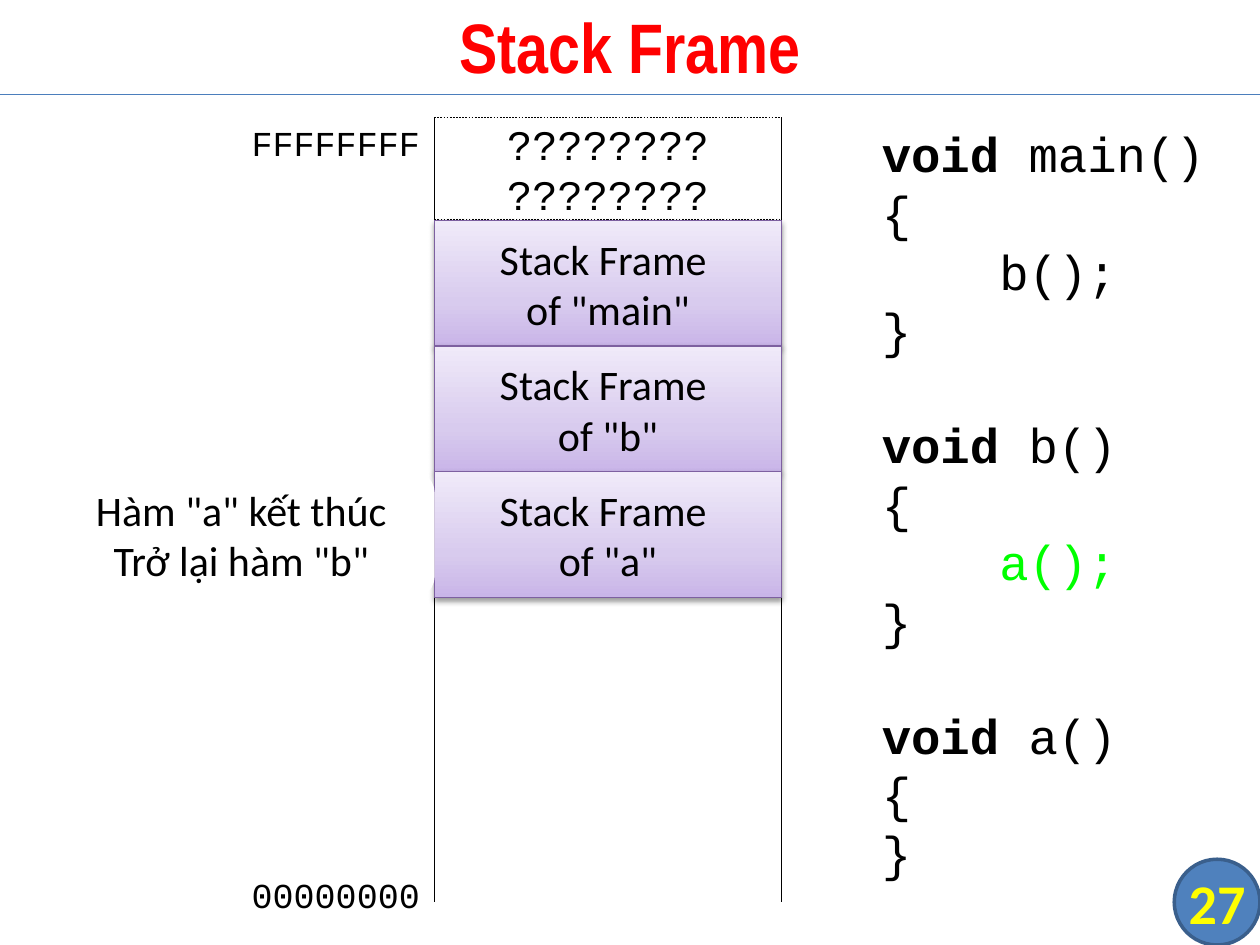
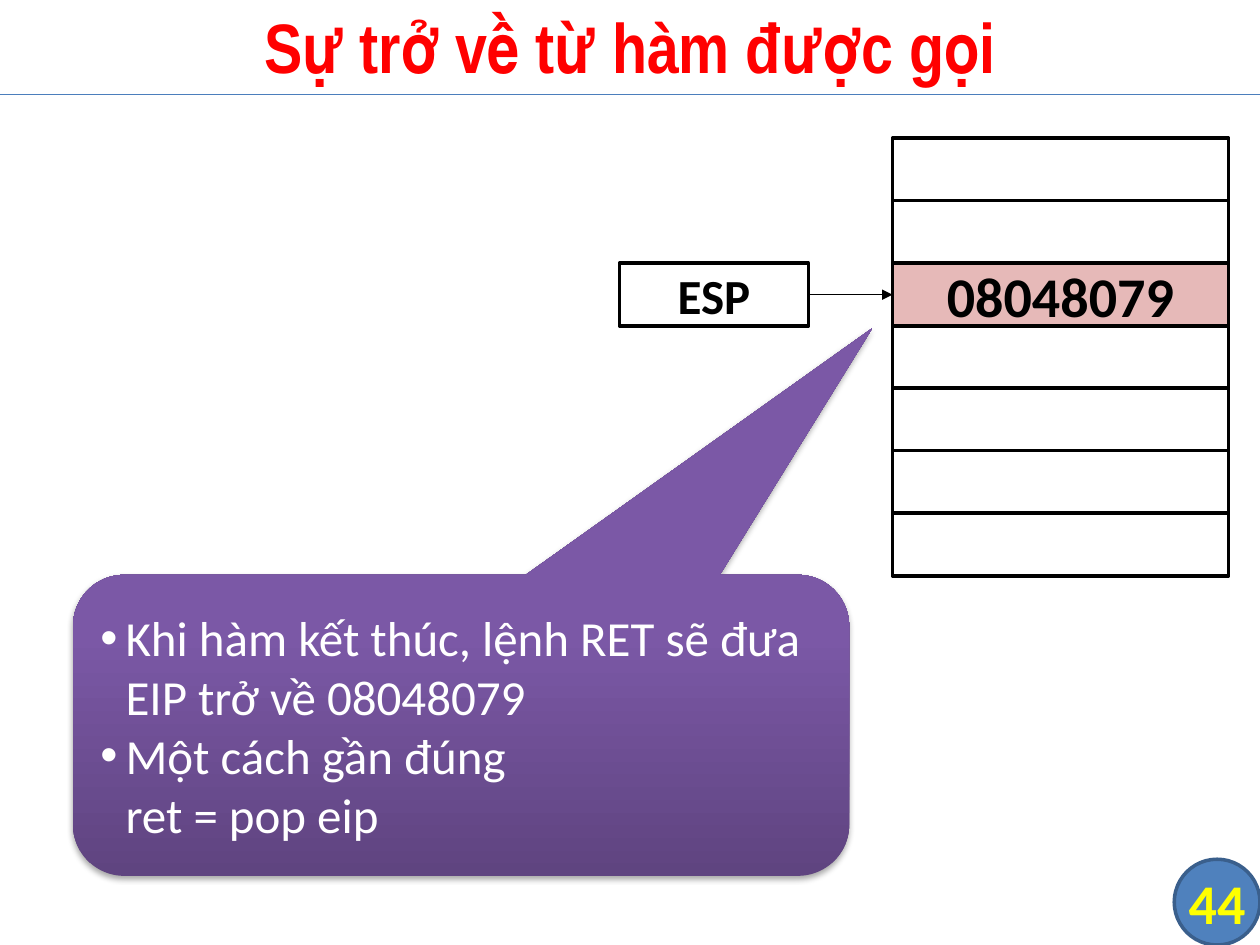
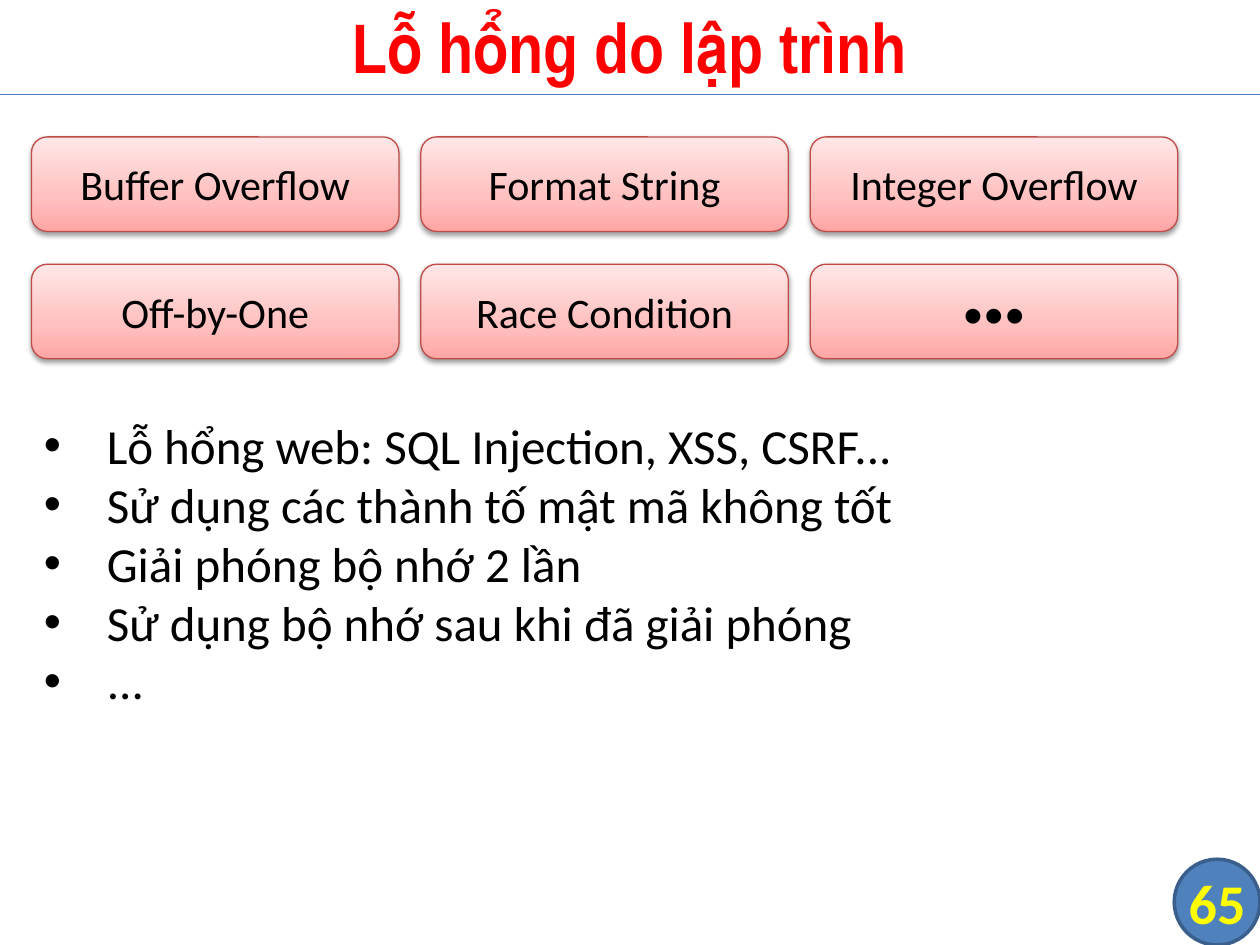
"""Build three slides on stack frames, function return and programming flaws."""

from dataclasses import dataclass
from typing import Any, Optional

import lxml.etree
import pptx
import pptx.dml.color
import pptx.enum.dml
import pptx.enum.shapes
import pptx.enum.text
import pptx.oxml.ns
import pptx.util

Pt = pptx.util.Pt
RGBColor = pptx.dml.color.RGBColor
SHAPE = pptx.enum.shapes.MSO_SHAPE
ALIGN = pptx.enum.text.PP_ALIGN
ANCHOR = pptx.enum.text.MSO_ANCHOR
qn = pptx.oxml.ns.qn

BLACK = RGBColor(0x00, 0x00, 0x00)
WHITE = RGBColor(0xFF, 0xFF, 0xFF)
RED = RGBColor(0xFF, 0x00, 0x00)
YELLOW = RGBColor(0xFF, 0xFF, 0x00)
GREEN = RGBColor(0x00, 0xFF, 0x00)
BADGE_FILL = RGBColor(0x4F, 0x81, 0xBD)
BADGE_LINE = RGBColor(0x3A, 0x5F, 0x8C)
RULE_BLUE = RGBColor(0x4B, 0x7E, 0xBC)
ROSE = RGBColor(0xE6, 0xB9, 0xB8)
FRAME_LINE = RGBColor(0x7D, 0x60, 0xA0)
FLAW_LINE = RGBColor(0xBF, 0x4C, 0x48)

Gradient = tuple[tuple[int, RGBColor], ...]
FRAME_GRADIENT: Gradient = (
    (0, RGBColor(0xC9, 0xB5, 0xE8)),
    (35, RGBColor(0xD8, 0xCB, 0xEE)),
    (100, RGBColor(0xF0, 0xEA, 0xF9)),
)
CALLOUT_GRADIENT: Gradient = (
    (0, RGBColor(0x5F, 0x44, 0x80)),
    (80, RGBColor(0x7B, 0x58, 0xA6)),
    (100, RGBColor(0x7C, 0x57, 0xA8)),
)
FLAW_GRADIENT: Gradient = (
    (0, RGBColor(0xFF, 0xA6, 0xA5)),
    (35, RGBColor(0xFF, 0xC0, 0xBF)),
    (100, RGBColor(0xFF, 0xE7, 0xE7)),
)

SLIDE_WIDTH, SLIDE_HEIGHT = 720, 540
RULE_TOP = 54
BADGE_BOX = (671, 491, 49, 49)


@dataclass(frozen=True)
class TextStyle:
    """Font and paragraph settings of one kind of text."""

    size: float
    name: str = "Calibri"
    color: RGBColor = BLACK
    bold: bool = False
    align: Any = ALIGN.CENTER
    bullet_indent: float = 0


@dataclass(frozen=True)
class Look:
    """Surface of a shape."""

    fill: Optional[RGBColor] = None
    gradient: Optional[Gradient] = None
    line: Optional[RGBColor] = None
    line_width: float = 0.75
    dashed: bool = False
    shadow: Optional[tuple[int, float]] = None


@dataclass(frozen=True)
class Box:
    """A placed shape, or a text box when no kind is given."""

    left: float
    top: float
    width: float
    height: float
    kind: Any = None
    look: Look = Look()
    lines: tuple[str, ...] = ()
    style: TextStyle = TextStyle(24)


@dataclass(frozen=True)
class CodeLine:
    """One line of the program listing."""

    text: str
    keyword: str = ""
    color: RGBColor = BLACK
    indent: float = 0
    space_before: float = 0


TITLE = TextStyle(40, "Arial Narrow", RED, True)
PAGE_NUMBER = TextStyle(32, color=YELLOW, bold=True)
LABEL = TextStyle(24)
CODE = TextStyle(28, "Courier New", align=ALIGN.LEFT)
MEMORY = TextStyle(24, "Courier New")
ADDRESS = TextStyle(20, "Courier New", align=ALIGN.RIGHT)
CELL_VALUE = TextStyle(32, bold=True)
REGISTER = TextStyle(28, bold=True)
CALLOUT_TEXT = TextStyle(28, color=WHITE, align=ALIGN.LEFT, bullet_indent=14.4)
BULLETS = TextStyle(28, align=ALIGN.LEFT, bullet_indent=36)

BADGE = Look(fill=BADGE_FILL, line=BADGE_LINE, line_width=2)
PLAIN = Look(fill=WHITE)
UNKNOWN = Look(fill=WHITE, line=BLACK, line_width=0.25, dashed=True)
CELL = Look(fill=WHITE, line=BLACK, line_width=2)
RETURN_CELL = Look(fill=ROSE, line=BLACK, line_width=2)
FRAME = Look(gradient=FRAME_GRADIENT, line=FRAME_LINE, shadow=(38, 1.6))
CALLOUT = Look(gradient=CALLOUT_GRADIENT, shadow=(35, 1.8))
FLAW = Look(gradient=FLAW_GRADIENT, line=FLAW_LINE, shadow=(38, 1.6))

CODE_INDENT = 67.2
CODE_GAP = 31.7
PROGRAM = (
    CodeLine(" main()", "void"),
    CodeLine("{"),
    CodeLine("b();", indent=CODE_INDENT),
    CodeLine("}"),
    CodeLine(" b()", "void", space_before=CODE_GAP),
    CodeLine("{"),
    CodeLine("a();", color=GREEN, indent=CODE_INDENT),
    CodeLine("}"),
    CodeLine(" a()", "void", space_before=CODE_GAP),
    CodeLine("{"),
    CodeLine("}"),
)


def set_values(target: Any, values: dict[str, Any]) -> None:
    """Set each named attribute of the target."""
    for name, value in values.items():
        setattr(target, name, value)


def add_node(parent: Any, tag: str, **attributes: Any) -> Any:
    """Append a drawing element to the parent."""
    texts = {name: str(value) for name, value in attributes.items()}
    return lxml.etree.SubElement(parent, qn(tag), texts)


def format_run(run: Any, style: TextStyle, color: RGBColor, bold: bool) -> None:
    """Give a run its font."""
    set_values(run.font, {"size": Pt(style.size), "name": style.name, "bold": bold})
    run.font.color.rgb = color


def set_indent(paragraph: Any, left: float, hanging: float = 0) -> None:
    """Set the left margin and hanging indent of a paragraph."""
    properties = paragraph._p.get_or_add_pPr()
    properties.set("marL", str(Pt(left)))
    properties.set("indent", str(-Pt(hanging)))


def add_paragraphs(frame: Any, count: int) -> list[Any]:
    """Return the given number of paragraphs of an empty text frame."""
    return [frame.paragraphs[0]] + [frame.add_paragraph() for _ in range(count - 1)]


def write_lines(frame: Any, lines: tuple[str, ...], style: TextStyle) -> None:
    """Write one paragraph for each line of text."""
    for paragraph, line in zip(add_paragraphs(frame, len(lines)), lines):
        set_values(paragraph, {"text": line, "alignment": style.align})
        for run in paragraph.runs:
            format_run(run, style, style.color, style.bold)
        if style.bullet_indent:
            set_indent(paragraph, style.bullet_indent, style.bullet_indent)
            properties = paragraph._p.get_or_add_pPr()
            add_node(properties, "a:buFont", typeface="Arial")
            add_node(properties, "a:buChar", char="•")


def paint_gradient(shape: Any, gradient: Gradient) -> None:
    """Fill a shape with a gradient that runs from bottom to top."""
    shape.fill.gradient()
    shape.fill.gradient_angle = 90
    stops = shape.element.spPr.find(f".//{qn('a:gsLst')}")
    for stop in list(stops):
        stops.remove(stop)
    for position, color in gradient:
        stop = add_node(stops, "a:gs", pos=position * 1000)
        add_node(stop, "a:srgbClr", val=color)


def paint(shape: Any, look: Look) -> None:
    """Apply fill, line and shadow to a shape."""
    shape.shadow.inherit = False
    if look.gradient:
        paint_gradient(shape, look.gradient)
    elif look.fill is not None:
        shape.fill.solid()
        shape.fill.fore_color.rgb = look.fill
    if look.line is None:
        shape.line.fill.background()
    else:
        shape.line.color.rgb = look.line
        shape.line.width = Pt(look.line_width)
    if look.dashed:
        shape.line.dash_style = pptx.enum.dml.MSO_LINE.DASH
    if look.shadow:
        opacity, distance = look.shadow
        effects = shape.element.spPr.find(qn("a:effectLst"))
        shadow = add_node(effects, "a:outerShdw", blurRad=Pt(3.1), dist=Pt(distance),
                          dir=5400000, rotWithShape=0)
        color = add_node(shadow, "a:srgbClr", val=BLACK)
        add_node(color, "a:alpha", val=opacity * 1000)


def draw_box(slide: Any, box: Box) -> Any:
    """Draw a shape or text box with its text."""
    place = [Pt(length) for length in (box.left, box.top, box.width, box.height)]
    if box.kind is None:
        shape = slide.shapes.add_textbox(*place)
    else:
        shape = slide.shapes.add_shape(box.kind, *place)
        paint(shape, box.look)
    set_values(shape.text_frame, {"word_wrap": True, "vertical_anchor": ANCHOR.MIDDLE})
    if box.lines:
        write_lines(shape.text_frame, box.lines, box.style)
    return shape


def draw_line(slide: Any, start: tuple[float, float], end: tuple[float, float],
              color: RGBColor = BLACK, arrow: bool = False) -> None:
    """Draw a thin straight line, with an arrowhead if asked."""
    ends = [Pt(length) for length in (*start, *end)]
    connector = slide.shapes.add_connector(pptx.enum.shapes.MSO_CONNECTOR.STRAIGHT, *ends)
    connector.line.color.rgb = color
    connector.line.width = Pt(0.75)
    if arrow:
        add_node(connector.line._get_or_add_ln(), "a:tailEnd", type="triangle")
    add_node(connector.element.spPr, "a:effectLst")


def add_slide(presentation: Any, title: str, number: int) -> Any:
    """Add a slide with the shared title, rule and page badge."""
    slide = presentation.slides.add_slide(presentation.slide_layouts[6])
    draw_box(slide, Box(*BADGE_BOX, SHAPE.FLOWCHART_CONNECTOR, BADGE))
    draw_line(slide, (0, RULE_TOP), (SLIDE_WIDTH, RULE_TOP), RULE_BLUE)
    draw_box(slide, Box(0, -2, SLIDE_WIDTH, 56, lines=(title,), style=TITLE))
    page = draw_box(slide, Box(*BADGE_BOX, lines=(str(number),), style=PAGE_NUMBER))
    sides = ("left", "top", "right", "bottom")
    set_values(page.text_frame, {f"margin_{side}": 0 for side in sides})
    return slide


def draw_program(slide: Any) -> None:
    """Write the program listing beside the stack."""
    frame = draw_box(slide, Box(496.8, 67, 201, 448.5)).text_frame
    set_values(frame, {"word_wrap": False, "vertical_anchor": ANCHOR.TOP})
    for paragraph, line in zip(add_paragraphs(frame, len(PROGRAM)), PROGRAM):
        set_values(paragraph, {"alignment": CODE.align,
                               "space_before": Pt(line.space_before)})
        set_indent(paragraph, line.indent)
        for text, bold in ((line.keyword, True), (line.text, False)):
            if text:
                run = paragraph.add_run()
                run.text = text
                format_run(run, CODE, line.color, bold)


def build_stack_frames(presentation: Any) -> None:
    """Show the frames on the stack while the innermost function ends."""
    slide = add_slide(presentation, "Stack Frame", 27)
    left, top, width, bottom = 248.4, 67, 198, 515.5
    frames_top, frame_step, frame_height = 126, 71.75, 72
    draw_box(slide, Box(left, top, width, 58.5, SHAPE.RECTANGLE, UNKNOWN,
                        ("????????", "????????"), MEMORY))
    for address, address_top in (("00000000", 496.8), ("FFFFFFFF", top)):
        draw_box(slide, Box(113.5, address_top, 135, 28.8, SHAPE.ROUNDED_RECTANGLE,
                            PLAIN, (address,), ADDRESS))
    for edge in (left, left + width):
        draw_line(slide, (edge, top), (edge, bottom))
    draw_program(slide)
    for index, name in enumerate(("main", "b", "a")):
        draw_box(slide, Box(left, frames_top + index * frame_step, width, frame_height,
                            SHAPE.RECTANGLE, FRAME, (f'Stack Frame \vof "{name}"',), LABEL))
    draw_box(slide, Box(27.4, frames_top + 2 * frame_step, 221, frame_height,
                        SHAPE.ROUNDED_RECTANGLE, PLAIN,
                        ('Hàm "a" kết thúc', 'Trở lại hàm "b"'), LABEL))


def build_function_return(presentation: Any) -> None:
    """Show the return address on the stack."""
    slide = add_slide(presentation, "Sự trở về từ hàm được gọi", 44)
    left, top, step, height = 510, 79, 35.7, 36
    return_index = 2
    return_top = top + return_index * step
    middle = return_top + height / 2
    for index in range(7):
        if index != return_index:
            draw_box(slide, Box(left, top + index * step, 192, height, SHAPE.RECTANGLE, CELL))
    draw_box(slide, Box(left, return_top, 192, height, SHAPE.RECTANGLE, RETURN_CELL,
                        ("08048079",), CELL_VALUE))
    draw_box(slide, Box(354, return_top, 108, height, SHAPE.RECTANGLE, CELL,
                        ("ESP",), REGISTER))
    draw_line(slide, (462, middle), (left, middle), arrow=True)
    callout = draw_box(slide, Box(
        41.75, 328.5, 443.5, 172, SHAPE.ROUNDED_RECTANGULAR_CALLOUT, CALLOUT,
        ("Khi hàm kết thúc, lệnh RET sẽ đưa EIP trở về 08048079",
         "Một cách gần đúng\vret = pop eip"), CALLOUT_TEXT))
    for index, value in enumerate((0.53, -1.32, 0.17)):
        callout.adjustments[index] = value


def build_flaws(presentation: Any) -> None:
    """Show the kinds of programming flaw."""
    slide = add_slide(presentation, "Lỗ hổng do lập trình", 65)
    flaws = ("Buffer Overflow", "Format String", "Integer Overflow",
             "Off-by-One", "Race Condition", "•••")
    for index, flaw in enumerate(flaws):
        row, column = divmod(index, 3)
        draw_box(slide, Box(18 + column * 222.5, 78.25 + row * 72.75, 210, 54,
                            SHAPE.ROUNDED_RECTANGLE, FLAW, (flaw,), LABEL))
    notes = draw_box(slide, Box(18, 234, 678, 211, lines=(
        "Lỗ hổng web: SQL Injection, XSS, CSRF...",
        "Sử dụng các thành tố mật mã không tốt",
        "Giải phóng bộ nhớ 2 lần",
        "Sử dụng bộ nhớ sau khi đã giải phóng",
        "..."), style=BULLETS))
    notes.text_frame.vertical_anchor = ANCHOR.TOP


def main() -> None:
    """Build and save the presentation."""
    presentation = pptx.Presentation()
    set_values(presentation, {"slide_width": Pt(SLIDE_WIDTH),
                              "slide_height": Pt(SLIDE_HEIGHT)})
    for build in (build_stack_frames, build_function_return, build_flaws):
        build(presentation)
    presentation.save("out.pptx")


if __name__ == "__main__":
    main()
